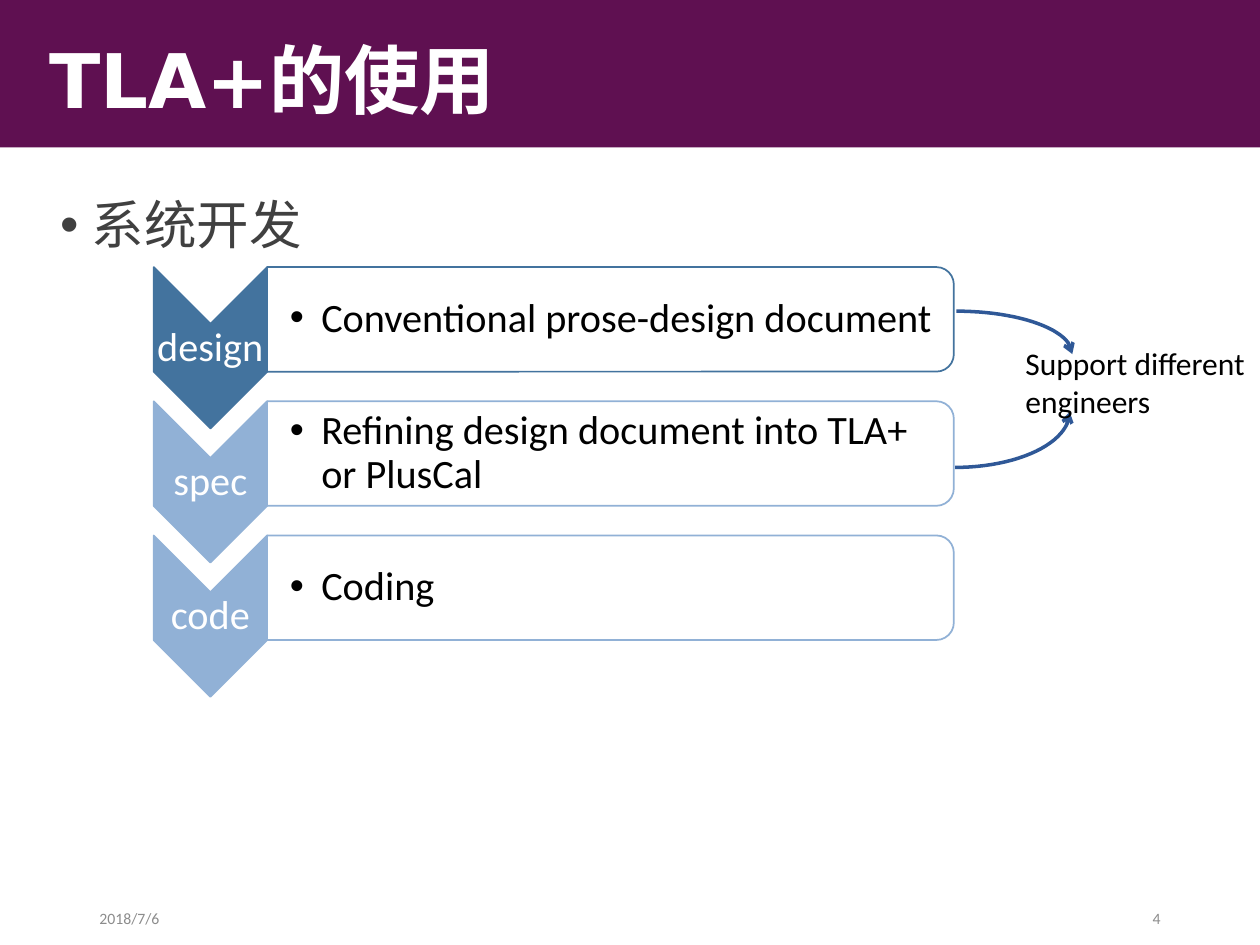
from math import cos, pi, sin

from lxml import etree
from pptx import Presentation
from pptx.dml.color import RGBColor
from pptx.enum.shapes import MSO_SHAPE
from pptx.enum.text import MSO_ANCHOR, MSO_AUTO_SIZE, PP_ALIGN
from pptx.oxml.ns import qn
from pptx.util import Inches, Pt

RECTANGLE = MSO_SHAPE.RECTANGLE
CHEVRON = MSO_SHAPE.CHEVRON
ROUNDED_TOP = MSO_SHAPE.ROUND_2_SAME_RECTANGLE
TOP, MIDDLE, BOTTOM = MSO_ANCHOR.TOP, MSO_ANCHOR.MIDDLE, MSO_ANCHOR.BOTTOM
LEFT, CENTER, RIGHT = PP_ALIGN.LEFT, PP_ALIGN.CENTER, PP_ALIGN.RIGHT

PLUM, WHITE, BLACK = "5F1051", "FFFFFF", "000000"
ARROW_BLUE, DARK_GRAY, LIGHT_GRAY = "2F5897", "404040", "8C8C8C"
DEFAULT_INSETS = (0.1, 0.05, 0.1, 0.05)

STAGES = [
    ("design", "Conventional prose-design document", "43739E"),
    ("spec", "Refining design document into TLA+ or PlusCal", "91B1D6"),
    ("code", "Coding", "91B1D6"),
]
FIRST_STAGE_TOP = 2.12
STAGE_STEP = 1.065


def color(value):
    return RGBColor.from_string(value)


def place(shape, left, top, width, height):
    shape.left, shape.top = Inches(left), Inches(top)
    shape.width, shape.height = Inches(width), Inches(height)


def write(box, text, size, fill, font="Calibri", bold=False, align=LEFT,
          anchor=TOP, insets=DEFAULT_INSETS, spacing=None):
    frame = box.text_frame
    frame.word_wrap = True
    frame.auto_size = MSO_AUTO_SIZE.NONE
    frame.vertical_anchor = anchor
    (frame.margin_left, frame.margin_top,
     frame.margin_right, frame.margin_bottom) = map(Inches, insets)
    para = frame.paragraphs[0]
    para.alignment = align
    para.line_spacing = spacing
    span = para.add_run()
    span.text = text
    span.font.size = Pt(size)
    span.font.name = font
    span.font.bold = bold
    span.font.color.rgb = color(fill)
    return para


def add_text(page, area, text, size, fill, **style):
    box = page.shapes.add_textbox(*map(Inches, area))
    return write(box, text, size, fill, **style)


def add_bullet(para):
    properties = para._p.get_or_add_pPr()
    properties.set("marL", str(Inches(0.25)))
    properties.set("indent", str(-Inches(0.25)))
    bullet_font = etree.SubElement(properties, qn("a:buFont"))
    bullet_font.set("typeface", "Arial")
    bullet = etree.SubElement(properties, qn("a:buChar"))
    bullet.set("char", "•")


def add_panel(page, kind, area, fill, line, rotation=0):
    panel = page.shapes.add_shape(kind, *map(Inches, area))
    panel.shadow.inherit = False
    panel.rotation = rotation
    panel.fill.solid()
    panel.fill.fore_color.rgb = color(fill)
    panel.line.color.rgb = color(line)
    panel.line.width = Pt(1)
    return panel


def add_turned_panel(page, kind, area, fill, line):
    """Draw a panel turned by 90 degrees that covers the given area."""
    left, top, width, height = area
    shift = (width - height) / 2
    add_panel(page, kind, (left + shift, top - shift, height, width),
              fill, line, rotation=90)


def add_stage(page, top, label, detail, shade):
    add_turned_panel(page, CHEVRON, (1.22, top, 0.9, 1.28), shade, shade)
    add_text(page, (1.22, top + 0.45, 0.9, 0.39), label, 23, WHITE,
             align=CENTER, anchor=MIDDLE, insets=(0.02,) * 4, spacing=0.9)
    add_turned_panel(page, ROUNDED_TOP, (2.12, top, 5.45, 0.83), WHITE, shade)
    para = add_text(page, (2.12, top + 0.04, 5.4, 0.75), detail, 23, BLACK,
                    anchor=MIDDLE, insets=(0.18, 0.02, 0.02, 0.02),
                    spacing=0.9)
    add_bullet(para)


def add_curved_arrow(page, start, end, steps=24):
    """Draw a quarter ellipse that leaves sideways and arrives upright."""
    (x, y), (end_x, end_y) = start, end
    angles = [pi / 2 * step / steps for step in range(steps + 1)]
    points = [(Inches(x + (end_x - x) * sin(angle)),
               Inches(y + (end_y - y) * (1 - cos(angle))))
              for angle in angles]
    builder = page.shapes.build_freeform(*points[0])
    builder.add_line_segments(points[1:], close=False)
    arrow = builder.convert_to_shape()
    arrow.shadow.inherit = False
    arrow.fill.background()
    arrow.line.color.rgb = color(ARROW_BLUE)
    arrow.line.width = Pt(2)
    tip = etree.SubElement(arrow.line._get_or_add_ln(), qn("a:tailEnd"))
    tip.set("type", "arrow")


def main():
    deck = Presentation()
    deck.slide_width, deck.slide_height = Inches(10), Inches(7.5)
    page = deck.slides.add_slide(deck.slide_layouts[5])

    # Title on its band
    title = page.shapes.title
    place(title, 0.29, 0.25, 9.43, 0.83)
    write(title, "TLA+的使用", 43, WHITE, font="DejaVu Sans", bold=True,
          anchor=MIDDLE, spacing=0.9)
    band = add_panel(page, RECTANGLE, (0, -0.06, 10, 1.23), PLUM, PLUM)
    band.line.fill.background()
    title.element.addprevious(band.element)

    # Topic
    topic = add_text(page, (0.38, 1.53, 9.34, 5.23), "系统开发", 30, DARK_GRAY,
                     font="Roboto", spacing=0.9)
    topic.space_before = Pt(10)
    add_bullet(topic)

    # Footer
    for left, text, align in [(0.69, "2018/7/6", LEFT), (7.06, "4", RIGHT)]:
        add_text(page, (left, 7.01, 2.25, 0.4), text, 9, LIGHT_GRAY,
                 align=align, anchor=BOTTOM)

    # Development stages
    for index, stage in enumerate(STAGES):
        add_stage(page, FIRST_STAGE_TOP + index * STAGE_STEP, *stage)

    # Arrows to the remark
    add_curved_arrow(page, (7.59, 2.47), (8.51, 2.81))
    add_curved_arrow(page, (7.58, 3.71), (8.49, 3.27))
    add_text(page, (8.04, 2.68, 2.13, 0.71), "Support different engineers",
             18, BLACK)

    deck.save("out.pptx")


main()
